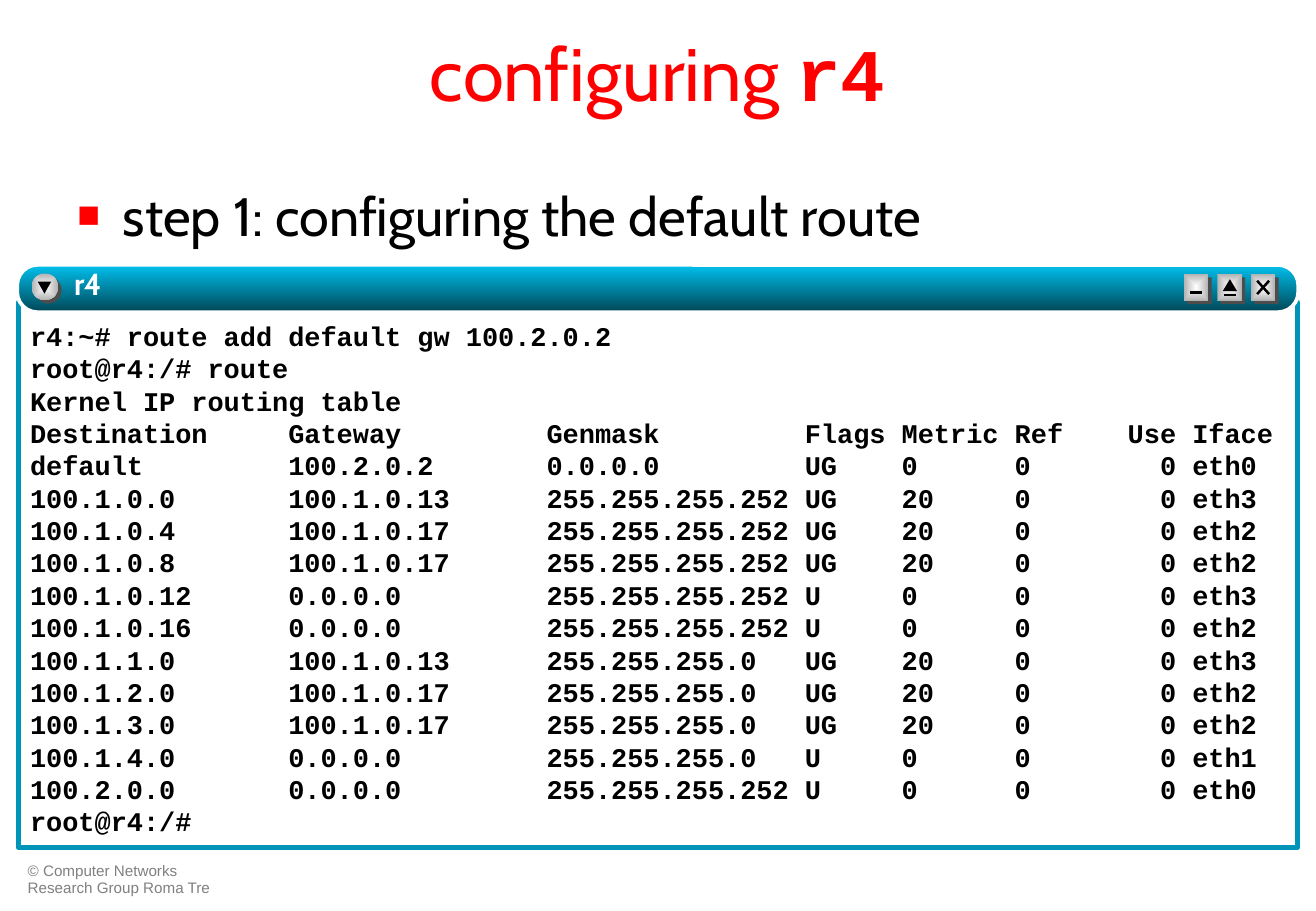
import lxml.etree
import pptx
import pptx.dml.color
import pptx.enum.shapes
import pptx.enum.text
import pptx.oxml.ns
import pptx.util

Cm = pptx.util.Cm
Pt = pptx.util.Pt
qn = pptx.oxml.ns.qn
Kind = pptx.enum.shapes.MSO_SHAPE
Align = pptx.enum.text.PP_ALIGN
Anchor = pptx.enum.text.MSO_ANCHOR

ROW = "{:16}{:16}{:16}{:6}{:7}{:7}{:>3} {}"
HEADS = ("Destination", "Gateway", "Genmask", "Flags",
         "Metric", "Ref", "Use", "Iface")
ROUTES = [
    ("default", "100.2.0.2", "0.0.0.0", "UG", "0", "eth0"),
    ("100.1.0.0", "100.1.0.13", "255.255.255.252", "UG", "20", "eth3"),
    ("100.1.0.4", "100.1.0.17", "255.255.255.252", "UG", "20", "eth2"),
    ("100.1.0.8", "100.1.0.17", "255.255.255.252", "UG", "20", "eth2"),
    ("100.1.0.12", "0.0.0.0", "255.255.255.252", "U", "0", "eth3"),
    ("100.1.0.16", "0.0.0.0", "255.255.255.252", "U", "0", "eth2"),
    ("100.1.1.0", "100.1.0.13", "255.255.255.0", "UG", "20", "eth3"),
    ("100.1.2.0", "100.1.0.17", "255.255.255.0", "UG", "20", "eth2"),
    ("100.1.3.0", "100.1.0.17", "255.255.255.0", "UG", "20", "eth2"),
    ("100.1.4.0", "0.0.0.0", "255.255.255.0", "U", "0", "eth1"),
    ("100.2.0.0", "0.0.0.0", "255.255.255.252", "U", "0", "eth0"),
]
SHELL = [
    "r4:~# route add default gw 100.2.0.2",
    "root@r4:/# route",
    "Kernel IP routing table",
    ROW.format(*HEADS),
    *(ROW.format(*route[:5], "0", "0", route[5]) for route in ROUTES),
    "root@r4:/#",
]


class Deck:
    colors = {
        "red": "FF0000", "black": "000000", "white": "FFFFFF",
        "grey": "808080", "dark": "4D4D4D", "silver": "B2B2B2",
        "frame": "0095B8", "sky": "00C1EE", "deep": "004656",
    }
    sans, mono, plain = "Cabin", "Courier New", "Arial"

    def __init__(self, wide, high):
        self.show = pptx.Presentation()
        self.show.slide_width = Cm(wide)
        self.show.slide_height = Cm(high)
        self.slide = self.show.slides.add_slide(self.show.slide_layouts[5])

    def color(self, name):
        return pptx.dml.color.RGBColor.from_string(self.colors[name])

    def run(self, para, text, size, color, font, bold=False):
        run = para.add_run()
        run.text = text
        run.font.size = Pt(size)
        run.font.bold = bold
        run.font.color.rgb = self.color(color)
        run.font.name = font

    def title(self, box, parts):
        head = self.slide.shapes.title
        head.left, head.top, head.width, head.height = map(Cm, box)
        frame = head.text_frame
        frame.vertical_anchor = Anchor.MIDDLE
        frame.auto_size = pptx.enum.text.MSO_AUTO_SIZE.NONE
        para = frame.paragraphs[0]
        para.alignment = Align.CENTER
        for text, font, bold in parts:
            self.run(para, text, 44, "red", font, bold)

    def text(self, box, lines, size, color, font, bold=False,
             inset=(0.25, 0.13, 0.25, 0.13), space=None):
        frame = self.slide.shapes.add_textbox(*map(Cm, box)).text_frame
        frame.word_wrap = True
        (frame.margin_left, frame.margin_top,
         frame.margin_right, frame.margin_bottom) = map(Cm, inset)
        for i, line in enumerate(lines):
            para = frame.add_paragraph() if i else frame.paragraphs[0]
            if space:
                para.line_spacing = space
            self.run(para, line, size, color, font, bold)
        return frame.paragraphs[0]

    def bullet(self, para, indent):
        props = para._p.get_or_add_pPr()
        props.set("marL", str(Cm(indent)))
        props.set("indent", str(-Cm(indent)))
        add = lxml.etree.SubElement
        tint = add(props, qn("a:buClr"))
        add(tint, qn("a:srgbClr"), val=self.colors["red"])
        add(props, qn("a:buSzPct"), val="70000")
        add(props, qn("a:buFont"), typeface=self.plain)
        add(props, qn("a:buChar"), char="■")

    def shade(self, run):
        fill = run._r.get_or_add_rPr().find(qn("a:solidFill"))
        effect = lxml.etree.Element(qn("a:effectLst"))
        fill.addnext(effect)
        add = lxml.etree.SubElement
        cast = add(effect, qn("a:outerShdw"), dist=str(Pt(1.5)), dir="2700000")
        add(cast, qn("a:srgbClr"), val=self.colors["black"])

    def shape(self, kind, box, fill=None, line=None, weight=1):
        item = self.slide.shapes.add_shape(kind, *map(Cm, box))
        item.shadow.inherit = False
        if fill is None:
            item.fill.background()
        elif isinstance(fill, tuple):
            item.fill.gradient()
            item.fill.gradient_angle = 270
            for stop, name in zip(item.fill.gradient_stops, fill):
                stop.color.rgb = self.color(name)
        else:
            item.fill.solid()
            item.fill.fore_color.rgb = self.color(fill)
        if line:
            item.line.color.rgb = self.color(line)
            item.line.width = Pt(weight)
        else:
            item.line.fill.background()
        return item

    def knob(self, kind, left, top, wide, high):
        self.shape(kind, (left + 0.07, top + 0.07, wide, high), "dark")
        face = self.shape(kind, (left, top, wide, high), ("white", "silver"))
        old = face._element.spPr.find(qn("a:gradFill")).find(qn("a:lin"))
        glow = lxml.etree.Element(qn("a:path"), path="rect")
        lxml.etree.SubElement(glow, qn("a:fillToRect"),
                              l="50000", t="50000", r="50000", b="50000")
        old.getparent().replace(old, glow)

    def stroke(self, *ends):
        line = self.slide.shapes.add_connector(
            pptx.enum.shapes.MSO_CONNECTOR.STRAIGHT, *map(Cm, ends))
        line.line.color.rgb = self.color("black")
        line.line.width = Pt(1.5)
        lxml.etree.SubElement(line._element.spPr, qn("a:effectLst"))


def main():
    deck = Deck(27.53, 19.05)
    deck.text((0.33, 17.93, 4.78, 0.91),
              ["© Computer Networks Research Group Roma Tre"],
              9, "grey", deck.plain, space=0.9)
    deck.title((1.37, -0.08, 24.77, 3.18),
               [("configuring ", deck.sans, False), ("r4", deck.mono, True)])
    step = deck.text((1.37, 3.68, 24.77, 1.8),
                     ["step 1: configuring the default route"],
                     32, "black", deck.sans)
    deck.bullet(step, 0.95)

    deck.shape(Kind.RECTANGLE, (0.38, 6.32, 26.77, 11.4),
               line="frame", weight=3)
    deck.text((0.43, 6.32, 26.72, 11.4), SHELL,
              16, "black", deck.mono, True,
              inset=(0.2, 0.36, 0.2, 0.1), space=Pt(19.2))
    bar = deck.shape(Kind.ROUNDED_RECTANGLE, (0.36, 5.54, 26.8, 0.99),
                     ("sky", "deep"), "white", 2.25)
    bar.adjustments[0] = 0.43

    deck.knob(Kind.OVAL, 0.66, 5.72, 0.56, 0.56)
    arrow = deck.shape(Kind.ISOSCELES_TRIANGLE, (0.79, 5.89, 0.28, 0.25),
                       "black")
    arrow.rotation = 180

    top = 5.73
    small, eject, close = [24.77 + 0.7 * i for i in range(3)]
    for left in (small, eject, close):
        deck.knob(Kind.RECTANGLE, left, top, 0.51, 0.56)
    low, far = 0.13, 0.38
    for left, drop in ((small, 0.39), (eject, 0.44)):
        deck.stroke(left + low, top + drop, left + far, top + drop)
    deck.shape(Kind.ISOSCELES_TRIANGLE, (eject + 0.11, top + 0.11, 0.3, 0.25),
               "black")
    for start, end in ((0.42, 0.14), (0.14, 0.42)):
        deck.stroke(close + low, top + start, close + far, top + end)

    name = deck.text((1.55, 5.54, 18.39, 0.99), ["r4"], 18, "white",
                     deck.sans, True, inset=(0, 0, 0, 0))
    deck.shade(name.runs[0])
    deck.show.save("out.pptx")


if __name__ == "__main__":
    main()
